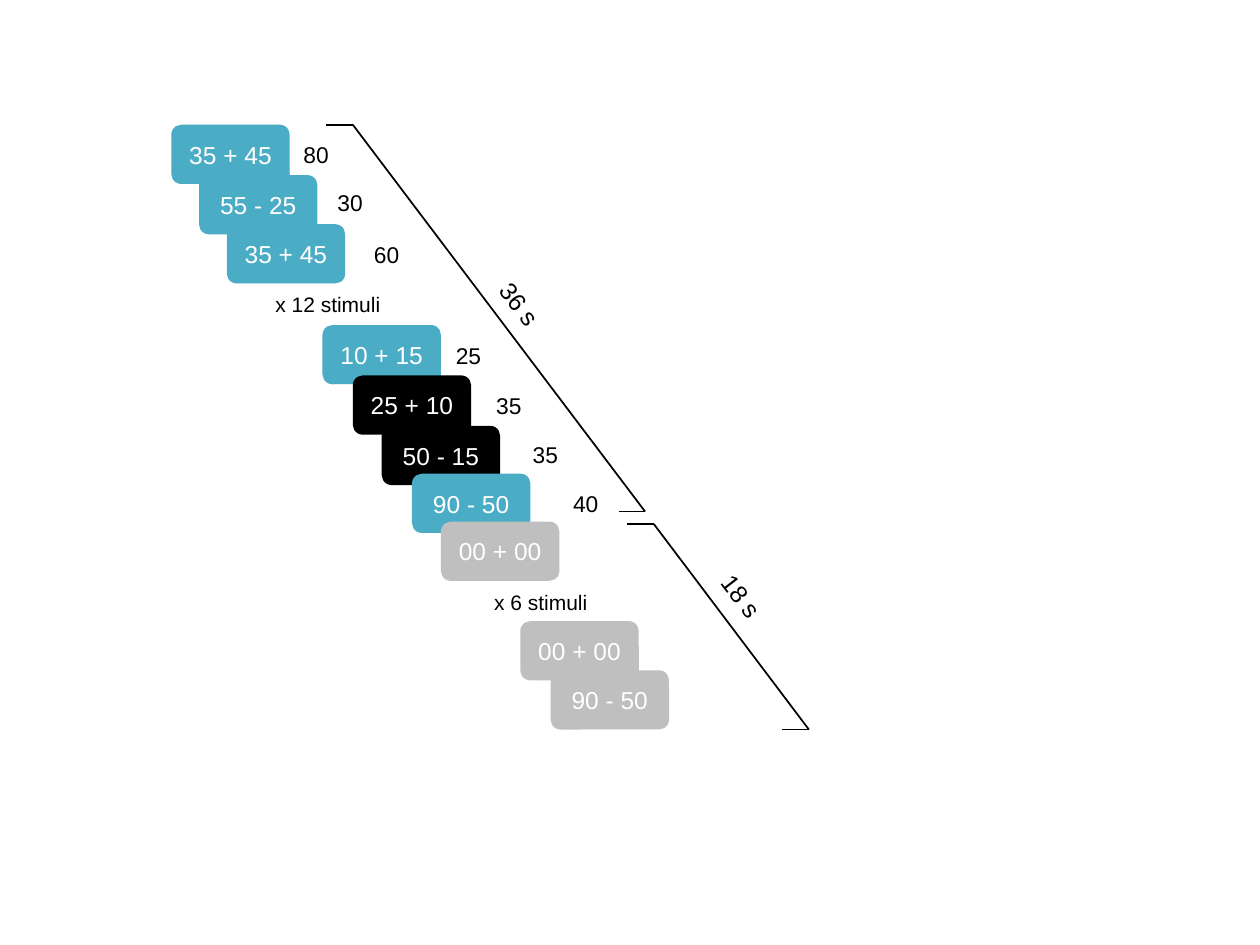
from lxml import etree
from pptx import Presentation
from pptx.dml.color import RGBColor
from pptx.enum.shapes import MSO_CONNECTOR, MSO_SHAPE
from pptx.enum.text import MSO_ANCHOR, PP_ALIGN
from pptx.oxml.ns import qn
from pptx.util import Inches, Pt

ROUNDED = MSO_SHAPE.ROUNDED_RECTANGLE
STRAIGHT = MSO_CONNECTOR.STRAIGHT
CENTER, LEFT = PP_ALIGN.CENTER, PP_ALIGN.LEFT
MIDDLE, TOP = MSO_ANCHOR.MIDDLE, MSO_ANCHOR.TOP

BLUE = RGBColor(0x4B, 0xAC, 0xC6)
BLACK = RGBColor(0, 0, 0)
GRAY = RGBColor(0xBF, 0xBF, 0xBF)
WHITE = RGBColor(0xFF, 0xFF, 0xFF)

CARD_W, CARD_H = 0.94, 0.47
ANSWER_W, ANSWER_H = 0.43, 0.32
DURATION_W, DURATION_H = 0.61, 0.34
DURATION_ANGLE = 52.3
TICK = 0.21

# problem, left, top, fill
STIMULI = [
    ("35 + 45", 1.36, 0.99, BLUE),
    ("55 - 25", 1.58, 1.39, BLUE),
    ("35 + 45", 1.80, 1.78, BLUE),
    ("10 + 15", 2.56, 2.58, BLUE),
    ("25 + 10", 2.80, 2.98, BLACK),
    ("50 - 15", 3.03, 3.38, BLACK),
    ("90 - 50", 3.27, 3.76, BLUE),
    ("00 + 00", 3.50, 4.14, GRAY),
    ("00 + 00", 4.13, 4.93, GRAY),
    ("90 - 50", 4.37, 5.32, GRAY),
]
# text, left, top, width
REPEATS = [(" x 12 stimuli", 2.01, 2.18, 1.14), (" x 6 stimuli", 3.74, 4.54, 1.06)]
# running answer, left, top
ANSWERS = [
    ("80", 2.31, 1.07), ("30", 2.58, 1.45), ("60", 2.87, 1.86), ("25", 3.52, 2.66),
    ("35", 3.84, 3.06), ("35", 4.13, 3.45), ("40", 4.45, 3.84),
]
# duration, label left and top, bracket start, bracket end
DURATIONS = [
    ("36 s", (3.83, 2.26), (2.80, 0.99), (5.12, 4.06)),
    ("18 s", (5.59, 4.58), (5.19, 4.16), (6.42, 5.79)),
]


def write(shape, text, size, color=BLACK, align=LEFT, anchor=TOP, wrap=False):
    frame = shape.text_frame
    frame.word_wrap = wrap
    frame.vertical_anchor = anchor
    paragraph = frame.paragraphs[0]
    paragraph.alignment = align
    run = paragraph.add_run()
    run.text = text
    run.font.name = "Arial"
    run.font.size = Pt(size)
    run.font.color.rgb = color


def add_card(slide, text, left, top, width=CARD_W, fill=None, size=14, color=WHITE):
    card = slide.shapes.add_shape(
        ROUNDED, Inches(left), Inches(top), Inches(width), Inches(CARD_H))
    card.shadow.inherit = False
    card.line.fill.background()
    if fill is None:
        card.fill.background()
    else:
        card.fill.solid()
        card.fill.fore_color.rgb = fill
    write(card, text, size, color, CENTER, MIDDLE)


def add_label(slide, text, left, top, width, height, size, angle=0):
    label = slide.shapes.add_textbox(
        Inches(left), Inches(top), Inches(width), Inches(height))
    label.rotation = angle
    write(label, text, size, wrap=True)


def add_line(slide, start, end):
    line = slide.shapes.add_connector(
        STRAIGHT, *(Inches(value) for value in (*start, *end)))
    line.line.color.rgb = BLACK
    line.line.width = Pt(1)
    etree.SubElement(line._element.spPr, qn("a:effectLst"))


def add_bracket(slide, start, end):
    """Slanted line with a short tick to the left at both ends."""
    add_line(slide, start, end)
    for x, y in (start, end):
        add_line(slide, (x - TICK, y), (x, y))


def main():
    prs = Presentation()
    prs.slide_width, prs.slide_height = Inches(10), Inches(7.5)
    slide = prs.slides.add_slide(prs.slide_layouts[6])

    for problem, left, top, fill in STIMULI:
        add_card(slide, problem, left, top, fill=fill)
    for text, left, top, width in REPEATS:
        add_card(slide, text, left, top, width, size=12, color=BLACK)
    for answer, left, top in ANSWERS:
        add_label(slide, answer, left, top, ANSWER_W, ANSWER_H, 13)
    for duration, place, start, end in DURATIONS:
        add_bracket(slide, start, end)
        add_label(slide, duration, *place, DURATION_W, DURATION_H, 14, DURATION_ANGLE)

    prs.save("out.pptx")


if __name__ == "__main__":
    main()
